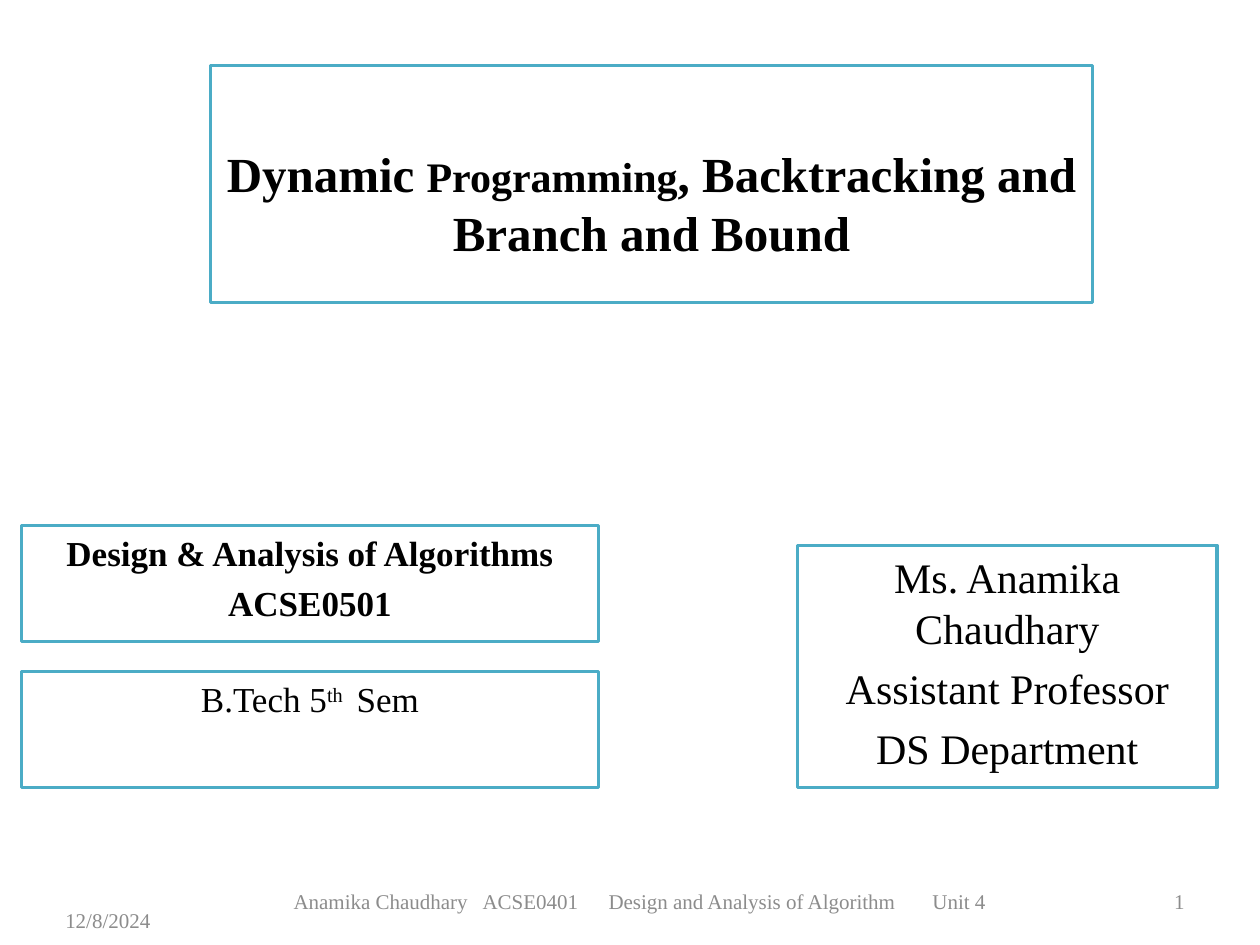
from pptx import Presentation
from pptx.dml.color import RGBColor as RGB
from pptx.enum.shapes import MSO_SHAPE as SHAPE
from pptx.enum.text import MSO_ANCHOR as ANCHOR, MSO_AUTO_SIZE as FIT, PP_ALIGN as ALIGN
from pptx.oxml import parse_xml
from pptx.oxml.ns import nsdecls
from pptx.util import Inches, Pt

# Theme
THEME = dict(font="Times New Roman", ink=RGB(0, 0, 0), muted=RGB(0x8C, 0x8C, 0x8C),
             paper=RGB(255, 255, 255), edge=RGB(0x4B, 0xAC, 0xC6), edge_width=2,
             title=28, title_small=24, name=24, course=20, footer=12, gap=0.23)

# Content: a paragraph is a list of (text, format) runs
SMALL = dict(size=Pt(THEME["title_small"]))
TITLE = [[("Dynamic ", {}), ("Programming", SMALL), (", Backtracking and Branch and Bound", {})]]
COURSE = [[("Design & Analysis of Algorithms", {})], [("ACSE0501", {})]]
SEMESTER = [[("B.Tech 5", {}), ("th ", dict(raised=True)), (" Sem", {})]]
TEACHER = [[("Ms. Anamika Chaudhary", {})], [("Assistant Professor", {})], [("DS Department", {})]]
FOOTER = ["Anamika Chaudhary", "ACSE0401", "Design and Analysis of Algorithm", "Unit 4"]
FOOTER_TABS = [1.5, 2.5, 5.07]

# Layout in inches: left, top, width, height
COL, COL_W, ROW_H = 0.17, 4.58, 0.92
BOTTOM = 6.25
TITLE_AT = (1.67, 0.52, 7, 1.88)
BOXES = [
    (COURSE, (COL, 4.17, COL_W, ROW_H), "course", True),
    (SEMESTER, (COL, BOTTOM - ROW_H, COL_W, ROW_H), "course", False),
    (TEACHER, (6.33, BOTTOM - 1.92, 3.33, 1.92), "name", False),
]
FOOT_TOP, FOOT_H = 6.95, 0.4
NOTES = [
    ("12/8/2024", (0.42, 7.1, 2.33, FOOT_H), ALIGN.LEFT, 0.1),
    ("1", (7.17, FOOT_TOP, 2.33, FOOT_H), ALIGN.RIGHT, 0.1),
    ("\t".join(FOOTER), (1.77, FOOT_TOP, 6.61, FOOT_H), ALIGN.LEFT, 0.56),
]


def apply(obj, **values):
    for key, value in values.items():
        setattr(obj, key, value)


def write(tf, paragraphs, size, color="ink", bold=False, align=ALIGN.CENTER):
    for i, runs in enumerate(paragraphs):
        p = tf.add_paragraph() if i else tf.paragraphs[0]
        apply(p, alignment=align, space_before=Pt(round(THEME["gap"] * THEME[size], 1) if i else 0))
        for text, extra in runs:
            r = p.add_run()
            r.text = text
            fmt = dict(name=THEME["font"], size=Pt(THEME[size]), bold=bold) | extra
            if fmt.pop("raised", False):
                r.font._element.set("baseline", "30000")
            apply(r.font, **fmt)
            r.font.color.rgb = THEME[color]


def frame(sp):
    sp.fill.solid()
    sp.fill.fore_color.rgb = THEME["paper"]
    sp.line.color.rgb = THEME["edge"]
    sp.line.width = Pt(THEME["edge_width"])
    apply(sp.text_frame, word_wrap=True, auto_size=FIT.NONE, vertical_anchor=ANCHOR.TOP)


prs = Presentation()
apply(prs, slide_width=Inches(10), slide_height=Inches(7.5))
s = prs.slides.add_slide(prs.slide_layouts[5])

# Title
sp = s.shapes.title
apply(sp, **dict(zip(("left", "top", "width", "height"), map(Inches, TITLE_AT))))
frame(sp)
sp.text_frame.margin_top = Inches(0.62)
write(sp.text_frame, TITLE, "title", bold=True)

# Framed boxes
for paragraphs, at, size, bold in BOXES:
    sp = s.shapes.add_shape(SHAPE.RECTANGLE, *map(Inches, at))
    sp.shadow.inherit = False
    frame(sp)
    write(sp.text_frame, paragraphs, size, bold=bold)
    if paragraphs is TEACHER:  # the post sits slightly left of centre
        sp.text_frame.paragraphs[1]._p.get_or_add_pPr().set("indent", str(Inches(-0.25)))

# Date, page number and footer
for text, at, align, inset in NOTES:
    tf = s.shapes.add_textbox(*map(Inches, at)).text_frame
    apply(tf, word_wrap=True, vertical_anchor=ANCHOR.MIDDLE, margin_left=Inches(inset))
    if "\t" in text:
        stops = "".join(f'<a:tab pos="{Inches(x)}" algn="l"/>' for x in FOOTER_TABS)
        tabs = parse_xml(f'<a:tabLst {nsdecls("a")}>{stops}</a:tabLst>')
        tf.paragraphs[0]._p.get_or_add_pPr().append(tabs)
    write(tf, [[(text, {})]], "footer", "muted", align=align)

prs.save("out.pptx")
